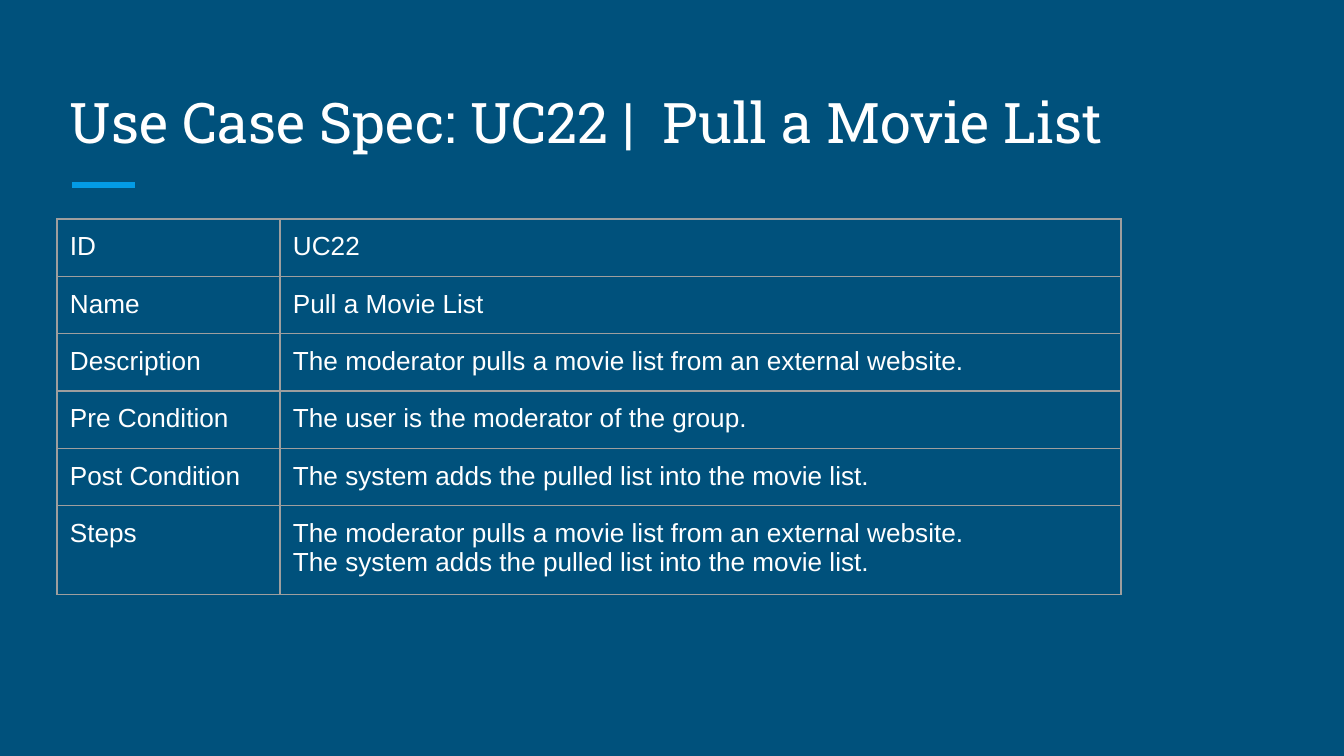
from lxml import etree
from pptx import Presentation
from pptx.dml.color import RGBColor
from pptx.enum.shapes import MSO_CONNECTOR
from pptx.enum.text import MSO_ANCHOR
from pptx.oxml import parse_xml
from pptx.oxml.ns import qn
from pptx.util import Pt

LINE = MSO_CONNECTOR.STRAIGHT
TOP, BOTTOM = MSO_ANCHOR.TOP, MSO_ANCHOR.BOTTOM
NS = "http://schemas.openxmlformats.org/drawingml/2006/main"
SCALE = 914400 / 134.4

TITLE = "Use Case Spec: UC22 |  Pull a Movie List"
PULL = "The moderator pulls a movie list from an external website."
ADD = "The system adds the pulled list into the movie list."
ROWS = [
    ("ID", ["UC22"]),
    ("Name", ["Pull a Movie List"]),
    ("Description", [PULL]),
    ("Pre Condition", ["The user is the moderator of the group."]),
    ("Post Condition", [ADD]),
    ("Steps", [PULL, ADD]),
]
COLS = [223, 841]
ROW, LAST = 56, 86
LEFT, PAD = 57, 13


def px(n):
    return round(n * SCALE)


def rgb(code):
    return RGBColor.from_string(code)


def write(frame, lines, size=14, font="Arial", color="FFFFFF"):
    frame.word_wrap = True
    frame.text = "\n".join(lines)
    for para in frame.paragraphs:
        face = para.runs[0].font
        face.size, face.name = Pt(size), font
        face.color.rgb = rgb(color)


def inset(box, anchor):
    box.margin_left = box.margin_right = px(PAD)
    box.margin_top = box.margin_bottom = px(PAD)
    box.vertical_anchor = anchor


def border(cell, color="9E9E9E", width=0.75):
    props = cell._tc.get_or_add_tcPr()
    for spot, side in enumerate("LRTB"):
        props.insert(spot, parse_xml(
            f'<a:ln{side} xmlns:a="{NS}" w="{Pt(width)}"><a:solidFill>'
            f'<a:srgbClr val="{color}"/></a:solidFill></a:ln{side}>'))


def main():
    """Build the use case slide and save it."""
    deck = Presentation()
    deck.slide_width, deck.slide_height = px(1344), px(756)
    slide = deck.slides.add_slide(deck.slide_layouts[6])
    slide.background.fill.solid()
    slide.background.fill.fore_color.rgb = rgb("00517C")

    rule = slide.shapes.add_connector(LINE, px(72), px(185), px(135), px(185))
    rule.line.color.rgb, rule.line.width = rgb("039BE5"), Pt(3)
    etree.SubElement(rule._element.spPr, qn("a:effectLst"))

    head = slide.shapes.add_textbox(px(LEFT), px(67), px(1230), px(101))
    write(head.text_frame, [TITLE], size=30, font="Roboto Slab")
    inset(head.text_frame, BOTTOM)

    high = ROW * (len(ROWS) - 1) + LAST
    grid = slide.shapes.add_table(
        len(ROWS), len(COLS), px(LEFT), px(219), px(sum(COLS)), px(high)).table
    grid.first_row = grid.horz_banding = False
    for col, width in zip(grid.columns, COLS):
        col.width = px(width)
    for row, (label, lines) in zip(grid.rows, ROWS):
        row.height = px(LAST if len(lines) > 1 else ROW)
        for cell, text in zip(row.cells, ([label], lines)):
            write(cell.text_frame, text)
            inset(cell, TOP)
            cell.fill.background()
            border(cell)

    deck.save("out.pptx")


if __name__ == "__main__":
    main()
